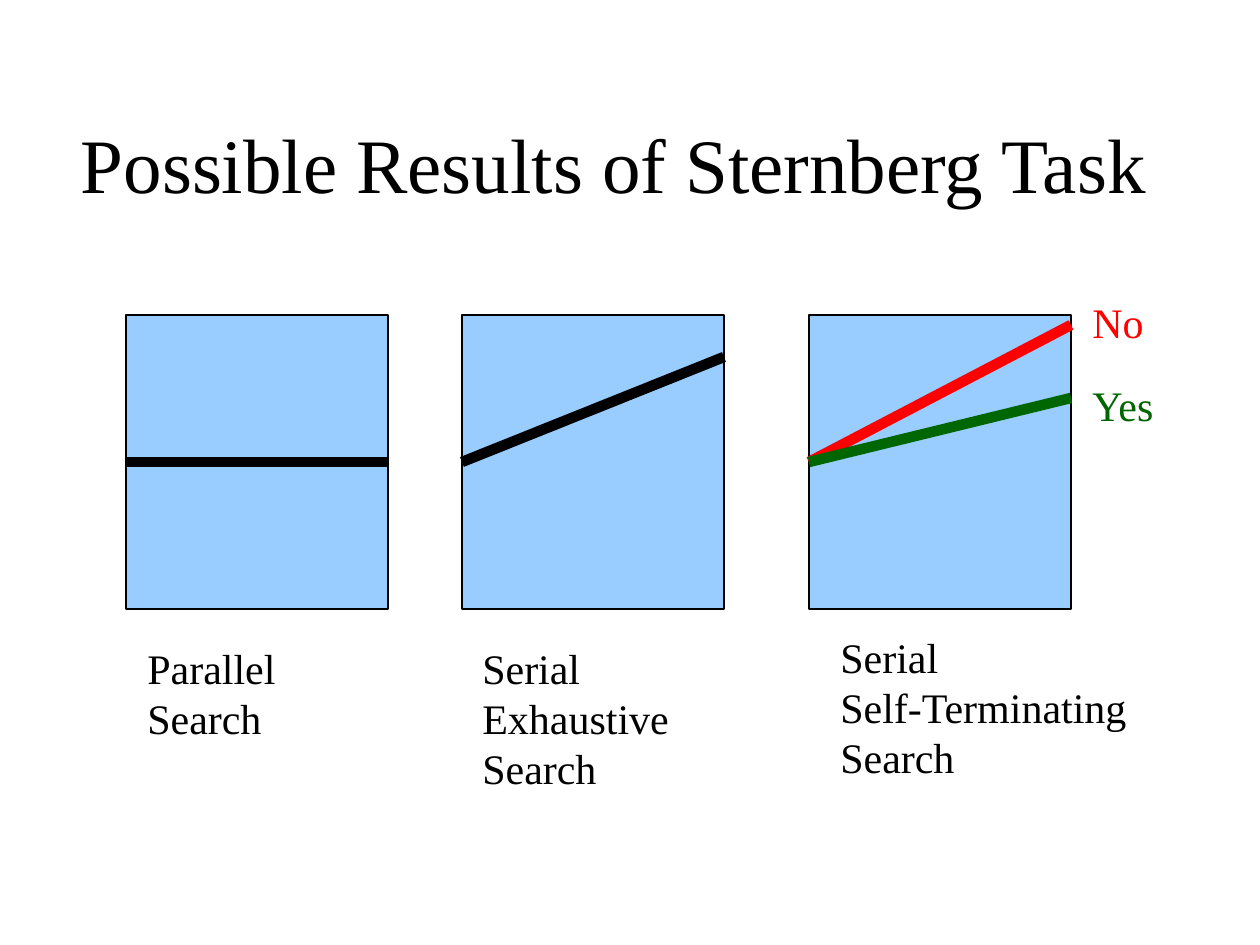
"""Build a slide comparing three possible results of the Sternberg task."""
from pptx import Presentation
from pptx.dml.color import RGBColor
from pptx.enum.shapes import MSO_CONNECTOR, MSO_SHAPE
from pptx.enum.text import MSO_ANCHOR, MSO_AUTO_SIZE, PP_ALIGN
from pptx.oxml.ns import qn
from pptx.util import Emu, Pt
from lxml.etree import SubElement

PX = 914400 // 126
FONT = "Times New Roman"
BLACK = RGBColor(0x00, 0x00, 0x00)
SKY = RGBColor(0x99, 0xCC, 0xFF)
RED = RGBColor(0xFF, 0x00, 0x00)
GREEN = RGBColor(0x00, 0x66, 0x00)

PANEL_TOP, PANEL_WIDTH, PANEL_HEIGHT = 315, 262, 294
MIDDLE = PANEL_TOP + PANEL_HEIGHT // 2
LEFT_SIDE, RIGHT_SIDE = 1, 3

PANELS = [
    (126, [(MIDDLE, BLACK)]),
    (462, [(357, BLACK)]),
    (809, [(325, RED), (398, GREEN)]),
]
LABELS = [
    (1080, 373, 91, 63, ["Yes"], GREEN),
    (1080, 290, 77, 63, ["No"], RED),
    (135, 636, 154, 113, ["Parallel", "Search"], BLACK),
    (470, 636, 212, 164, ["Serial", "Exhaustive", "Search"], BLACK),
    (828, 625, 314, 164, ["Serial", "Self-Terminating", "Search"], BLACK),
]


def px(*lengths):
    return [Emu(length * PX) for length in lengths]


def add_span(para, text, size, color):
    span = para.add_run()
    span.text = text
    span.font.name = FONT
    span.font.size = Pt(size)
    span.font.color.rgb = color


def fill_title(page, text):
    title = page.shapes.title
    title.left, title.top, title.width, title.height = px(63, 84, 1102, 158)
    title.text_frame.vertical_anchor = MSO_ANCHOR.MIDDLE
    para = title.text_frame.paragraphs[0]
    para.alignment = PP_ALIGN.CENTER
    add_span(para, text, 44, BLACK)


def add_panel(page, left):
    panel = page.shapes.add_shape(
        MSO_SHAPE.RECTANGLE, *px(left, PANEL_TOP, PANEL_WIDTH, PANEL_HEIGHT))
    panel.shadow.inherit = False
    panel.fill.solid()
    panel.fill.fore_color.rgb = SKY
    panel.line.color.rgb = BLACK
    panel.line.width = Pt(0.75)
    return panel


def add_trend(page, panel, left, end, color):
    trend = page.shapes.add_connector(
        MSO_CONNECTOR.STRAIGHT, *px(left, MIDDLE, left + PANEL_WIDTH, end))
    trend.begin_connect(panel, LEFT_SIDE)
    if end == MIDDLE:
        trend.end_connect(panel, RIGHT_SIDE)
    trend.line.color.rgb = color
    trend.line.width = Pt(6)
    SubElement(trend._element.spPr, qn("a:effectLst"))


def add_label(page, left, top, width, height, lines, color):
    box = page.shapes.add_textbox(*px(left, top, width, height))
    frame = box.text_frame
    frame.word_wrap = False
    frame.auto_size = MSO_AUTO_SIZE.SHAPE_TO_FIT_TEXT
    for index, line in enumerate(lines):
        para = frame.add_paragraph() if index else frame.paragraphs[0]
        para.alignment = PP_ALIGN.LEFT
        add_span(para, line, 24, color)


def main():
    deck = Presentation()
    deck.slide_width, deck.slide_height = px(1260, 945)
    page = deck.slides.add_slide(deck.slide_layouts.get_by_name("Title Only"))
    fill_title(page, "Possible Results of Sternberg Task")
    for left, trends in PANELS:
        panel = add_panel(page, left)
        for end, color in trends:
            add_trend(page, panel, left, end, color)
    for label in LABELS:
        add_label(page, *label)
    deck.save("out.pptx")


if __name__ == "__main__":
    main()
